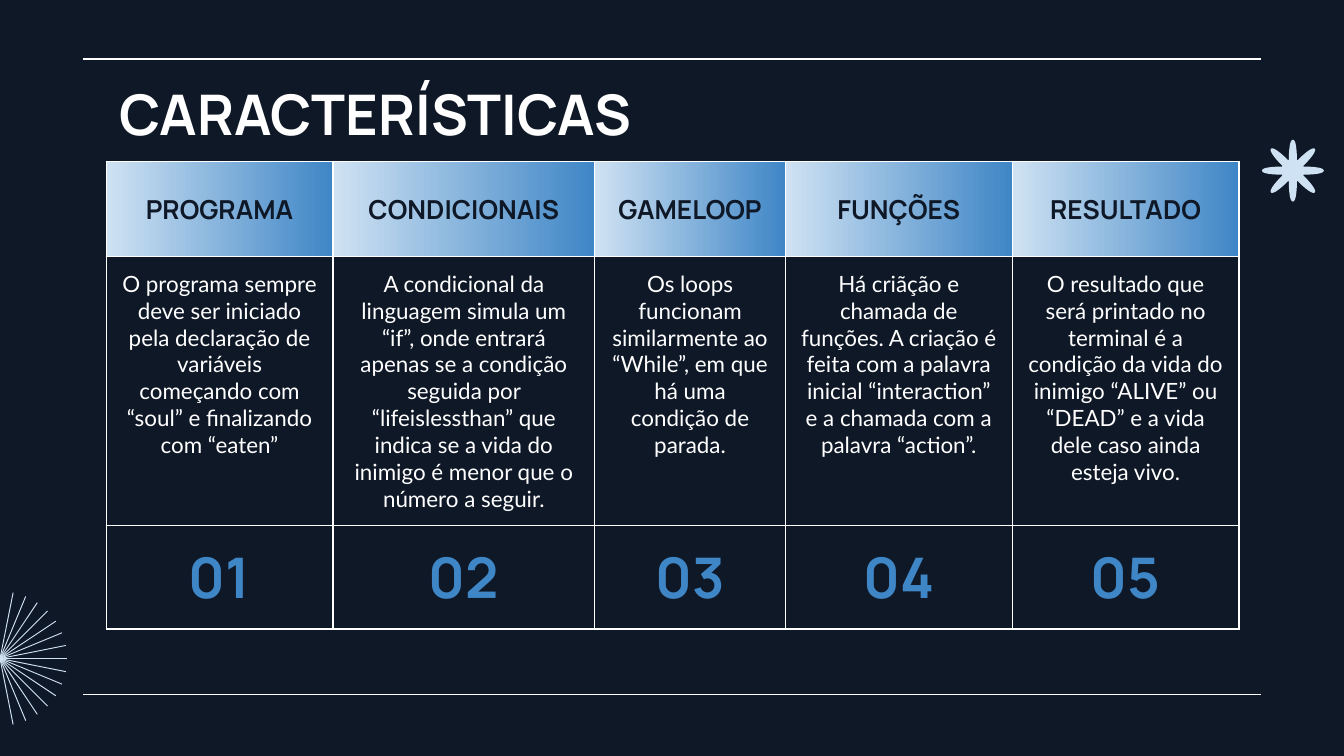
from math import cos, pi, sin

from lxml.etree import SubElement
from pptx import Presentation
from pptx.dml.color import RGBColor
from pptx.enum.shapes import MSO_CONNECTOR
from pptx.enum.text import MSO_ANCHOR, PP_ALIGN
from pptx.oxml.ns import qn
from pptx.util import Inches, Pt

COLORS = {"night": "0F1827", "white": "FFFFFF", "blue": "3F86C6", "pale": "CFE2F3"}

TITLE = "CARACTERÍSTICAS"
COLUMNS = [
    ("PROGRAMA", 1.69, "O programa sempre deve ser iniciado pela declaração de variáveis "
     "começando com “soul” e finalizando com “eaten”"),
    ("CONDICIONAIS", 1.95, "A condicional da linguagem simula um “if”, onde entrará apenas se a "
     "condição seguida por “lifeislessthan” que indica se a vida do inimigo é menor que o "
     "número a seguir."),
    ("GAMELOOP", 1.42, "Os loops funcionam similarmente ao “While”, em que há uma condição "
     "de parada."),
    ("FUNÇÕES", 1.69, "Há criãção e chamada de funções. A criação é feita com a palavra inicial "
     "“interaction” e a chamada com a palavra “action”."),
    ("RESULTADO", 1.69, "O resultado que será printado no terminal é a condição da vida do "
     "inimigo “ALIVE” ou “DEAD” e a vida dele caso ainda esteja vivo."),
]
ROW_HEIGHTS = [0.71, 2, 0.77]
SLIDE_WIDTH = 10
SLIDE_HEIGHT = SLIDE_WIDTH * 9 / 16
RULE_LEFT, RULE_RIGHT = 0.62, 9.38
RULE_TOPS = [0.44, 5.17]
TABLE_LEFT, TABLE_TOP, TABLE_WIDTH = 0.79, 1.2, 8.43

TITLE_FONT = {"name": "Manrope", "size": Pt(30), "bold": True, "color": "white"}
ROW_STYLES = [
    ({"name": "Manrope", "size": Pt(14), "bold": True, "color": "night"}, MSO_ANCHOR.MIDDLE),
    ({"name": "Lato", "size": Pt(12), "bold": False, "color": "white"}, MSO_ANCHOR.TOP),
    ({"name": "Manrope", "size": Pt(30), "bold": True, "color": "blue"}, MSO_ANCHOR.MIDDLE),
]
MARGINS = {f"margin_{side}": Inches(0.1) for side in ("left", "right", "top", "bottom")}
# Bezier controls of half a petal, from its tip to the notch: along, across
PETAL_CURVE = [(0.23, 0), (0.23, 0.02), (0.17, 0.03), (0.08, 0.03)]


def color(name):
    return RGBColor.from_string(COLORS[name])


def set_values(target, values):
    for name, value in values.items():
        setattr(target, name, value)


def write(text_frame, text, font, alignment):
    paragraph = text_frame.paragraphs[0]
    paragraph.alignment = alignment
    run = paragraph.add_run()
    run.text = text
    set_values(run.font, {name: value for name, value in font.items() if name != "color"})
    run.font.color.rgb = color(font["color"])


def add_rule(slide, top):
    rule = slide.shapes.add_connector(
        MSO_CONNECTOR.STRAIGHT, Inches(RULE_LEFT), Inches(top), Inches(RULE_RIGHT), Inches(top))
    rule.line.color.rgb = color("white")
    rule.line.width = Pt(0.75)
    SubElement(rule._element.spPr, qn("a:effectLst"))


def add_outline(shapes, points):
    """Draw a closed pale shape through points given in inches."""
    corners = [(Inches(x), Inches(y)) for x, y in points]
    builder = shapes.build_freeform(*corners[0])
    builder.add_line_segments(corners[1:], close=True)
    outline = builder.convert_to_shape()
    outline.shadow.inherit = False
    outline.fill.solid()
    outline.fill.fore_color.rgb = color("pale")
    outline.line.fill.background()


def turned(center, along, across, angle):
    """Place a point that lies along and across a direction from the center."""
    return (center[0] + along * cos(angle) - across * sin(angle),
            center[1] + along * sin(angle) + across * cos(angle))


def curve_point(controls, t):
    weights = ((1 - t) ** 3, 3 * t * (1 - t) ** 2, 3 * t ** 2 * (1 - t), t ** 3)
    return tuple(sum(weight * value for weight, value in zip(weights, values))
                 for values in zip(*controls))


def add_star(slide, center=(9.62, 1.27), petals=8, steps=12):
    half = [curve_point(PETAL_CURVE, step / steps) for step in range(steps + 1)]
    petal = [(along, -across) for along, across in reversed(half)] + half[1:]
    add_outline(slide.shapes, [turned(center, along, across, 2 * pi * index / petals)
                               for index in range(petals) for along, across in petal])


def add_burst(slide, center=(0, 4.9), radius=0.5, thickness=0.5 / 72):
    group = slide.shapes.add_group_shape()
    half = thickness / 2
    for step in range(-7, 8):
        add_outline(group.shapes, [
            turned(center, along, across, step * pi / 16)
            for along, across in ((-radius, -half), (radius, -half),
                                  (radius, half), (-radius, half))])


def add_borders(cell):
    properties = cell._tc.get_or_add_tcPr()
    for index, side in enumerate(("lnL", "lnR", "lnT", "lnB")):
        border = properties.makeelement(qn(f"a:{side}"), {"w": str(Pt(0.75))})
        fill = SubElement(border, qn("a:solidFill"))
        SubElement(fill, qn("a:srgbClr"), val=COLORS["white"])
        properties.insert(index, border)


def fill_header(cell):
    cell.fill.gradient()
    cell.fill.gradient_angle = 180
    for stop, name in zip(cell.fill.gradient_stops, ("blue", "pale")):
        stop.color.rgb = color(name)


def add_features_table(slide):
    rows = [
        [name for name, _, _ in COLUMNS],
        [description for _, _, description in COLUMNS],
        [f"{number:02d}" for number in range(1, len(COLUMNS) + 1)],
    ]
    table = slide.shapes.add_table(
        len(rows), len(COLUMNS), Inches(TABLE_LEFT), Inches(TABLE_TOP),
        Inches(TABLE_WIDTH), Inches(sum(ROW_HEIGHTS))).table
    set_values(table, {"first_row": False, "horz_banding": False})
    scale = TABLE_WIDTH / sum(width for _, width, _ in COLUMNS)
    for column, (_, width, _) in zip(table.columns, COLUMNS):
        column.width = Inches(width * scale)
    for row_index, (texts, height) in enumerate(zip(rows, ROW_HEIGHTS)):
        table.rows[row_index].height = Inches(height)
        font, anchor = ROW_STYLES[row_index]
        for column_index, text in enumerate(texts):
            cell = table.cell(row_index, column_index)
            set_values(cell, {**MARGINS, "vertical_anchor": anchor})
            write(cell.text_frame, text, font, PP_ALIGN.CENTER)
            if row_index == 0:
                fill_header(cell)
            else:
                cell.fill.background()
            add_borders(cell)


def add_title(slide):
    box = slide.shapes.add_textbox(Inches(TABLE_LEFT), Inches(0.49),
                                   Inches(TABLE_WIDTH), Inches(0.63))
    set_values(box.text_frame, {**MARGINS, "word_wrap": True,
                                "vertical_anchor": MSO_ANCHOR.TOP})
    write(box.text_frame, TITLE, TITLE_FONT, PP_ALIGN.LEFT)


def main():
    presentation = Presentation()
    set_values(presentation, {"slide_width": Inches(SLIDE_WIDTH),
                              "slide_height": Inches(SLIDE_HEIGHT)})
    slide = presentation.slides.add_slide(presentation.slide_layouts[6])
    slide.background.fill.solid()
    slide.background.fill.fore_color.rgb = color("night")
    for top in RULE_TOPS:
        add_rule(slide, top)
    add_star(slide)
    add_burst(slide)
    add_title(slide)
    add_features_table(slide)
    presentation.save("out.pptx")


if __name__ == "__main__":
    main()
